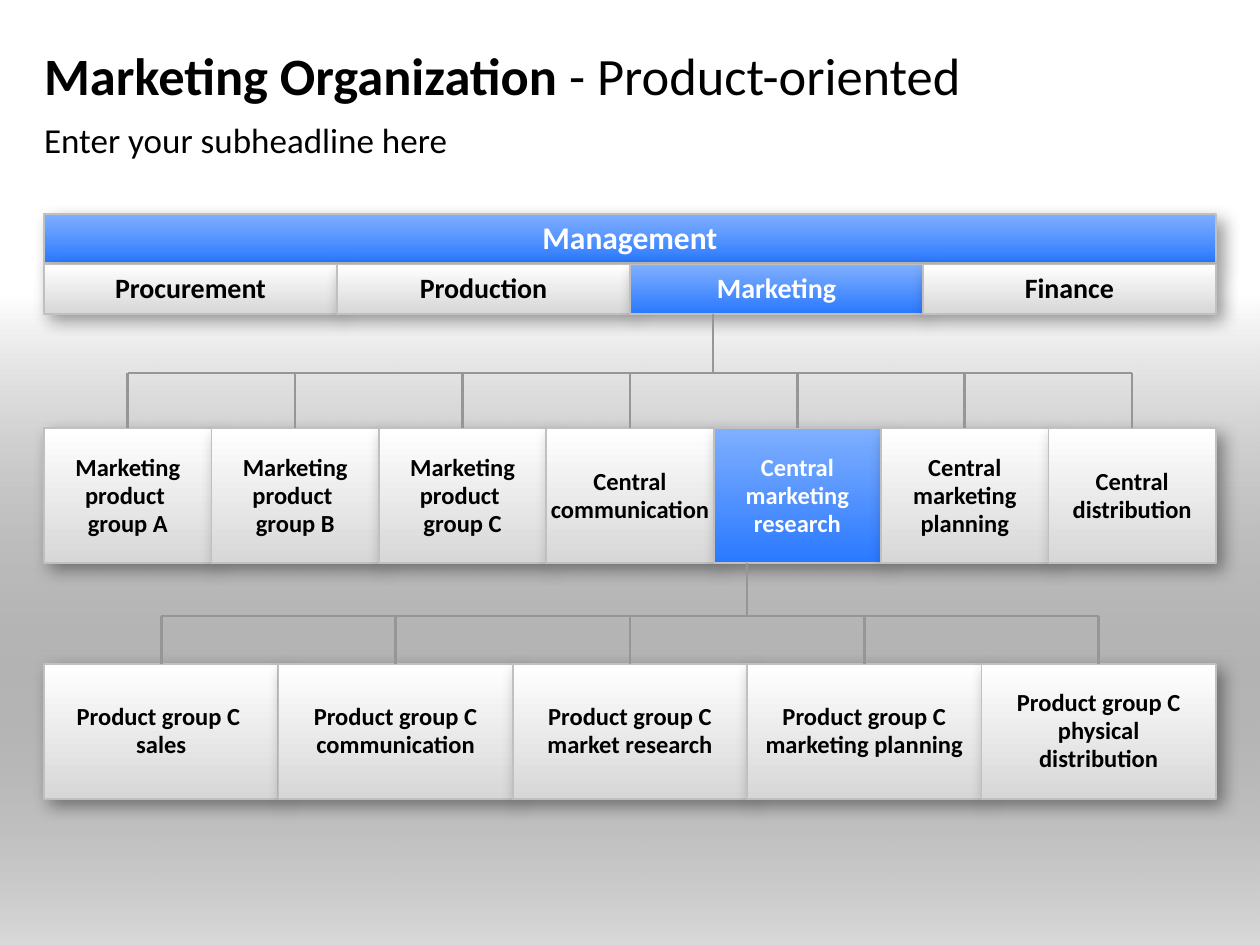
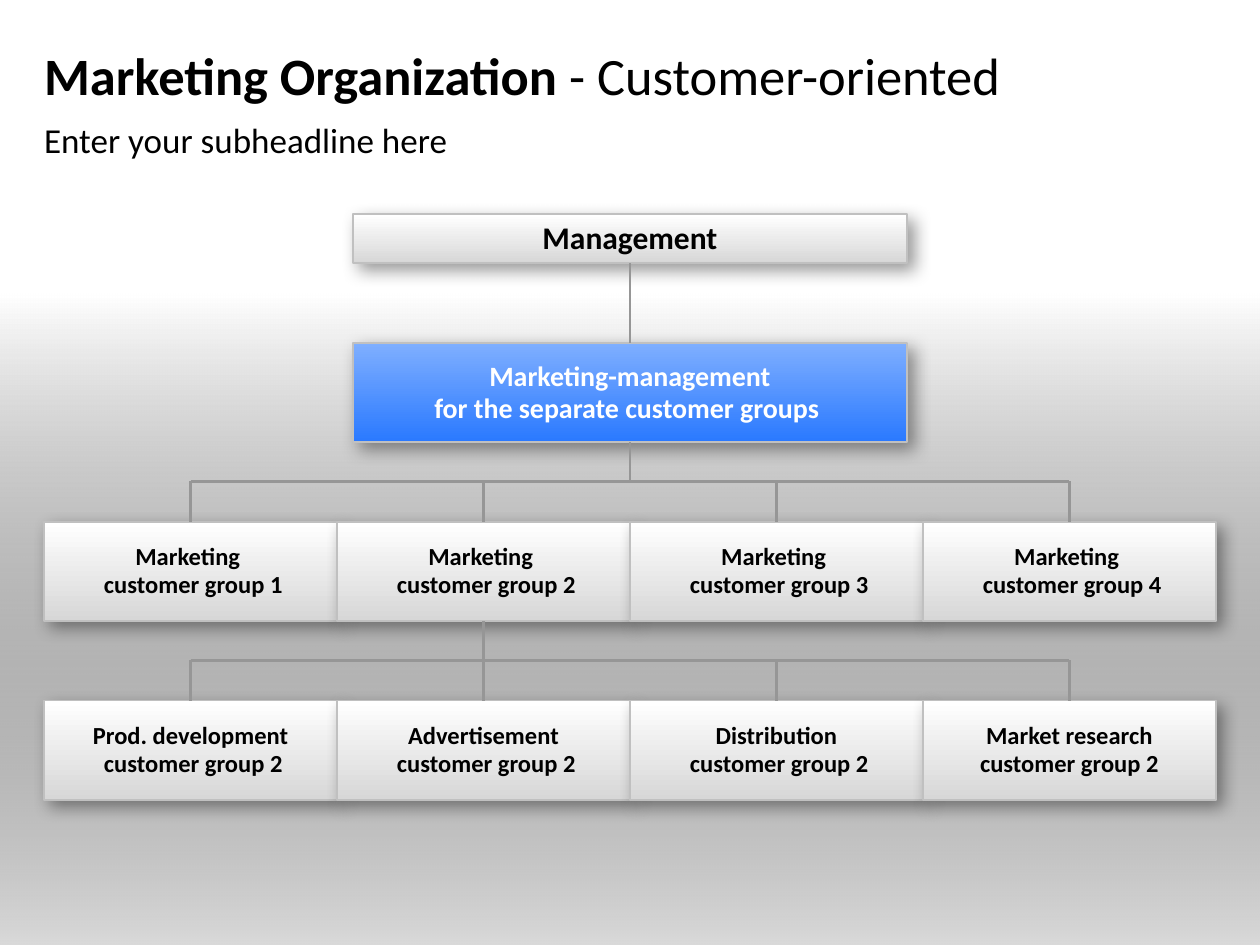
from lxml import etree
from pptx import Presentation
from pptx.dml.color import RGBColor
from pptx.enum.shapes import MSO_CONNECTOR, MSO_SHAPE
from pptx.enum.text import MSO_ANCHOR, MSO_AUTO_SIZE, PP_ALIGN
from pptx.oxml.ns import qn
from pptx.util import Inches, Pt

RECT = MSO_SHAPE.RECTANGLE
STRAIGHT = MSO_CONNECTOR.STRAIGHT
MIDDLE, TOP = MSO_ANCHOR.MIDDLE, MSO_ANCHOR.TOP
CENTER, LEFT = PP_ALIGN.CENTER, PP_ALIGN.LEFT
NO_FIT = MSO_AUTO_SIZE.NONE
TITLE_ONLY = 5
BOX_TOP, BOX_BOTTOM = 0, 2

BLACK = RGBColor(0x00, 0x00, 0x00)
WHITE = RGBColor(0xFF, 0xFF, 0xFF)
SILVER = RGBColor(0xD7, 0xD7, 0xD7)
BORDER = RGBColor(0xC0, 0xC0, 0xC0)
LINE_GRAY = RGBColor(0x96, 0x96, 0x96)
LIGHT_BLUE = RGBColor(0x7F, 0xAF, 0xFF)
BLUE = RGBColor(0x2A, 0x79, 0xFF)

FONT = "Calibri"
MARGIN, CONTENT_W = 0.35, 9.3


def fill_gradient(shape, top_color, bottom_color):
    fill = shape.fill
    fill.gradient()
    fill.gradient_angle = 270
    for stop, color, position in zip(fill.gradient_stops, (top_color, bottom_color), (0, 1)):
        stop.color.rgb = color
        stop.position = position


def add_alpha(color_el, percent):
    etree.SubElement(color_el, qn("a:alpha"), val=str(percent * 1000))


def add_shadow(shape):
    shape.shadow.inherit = False
    effects = shape._element.spPr.find(qn("a:effectLst"))
    shadow = etree.SubElement(effects, qn("a:outerShdw"), blurRad=str(Pt(10)),
                              dist=str(Pt(5)), dir=str(45 * 60000), algn="tl",
                              rotWithShape="0")
    add_alpha(etree.SubElement(shadow, qn("a:srgbClr"), val=str(BLACK)), 40)


def set_frame(tf, anchor, side=0):
    tf.word_wrap = True
    tf.auto_size = NO_FIT
    tf.vertical_anchor = anchor
    tf.margin_left = tf.margin_right = Inches(side)
    tf.margin_top = tf.margin_bottom = 0


def set_font(p, size, color=BLACK):
    p.font.name = FONT
    p.font.size = Pt(size)
    p.font.color.rgb = color


def add_backdrop(s):
    sp = s.shapes.add_shape(RECT, 0, Inches(2.33), Inches(10), Inches(5.17))
    sp.shadow.inherit = False
    sp.line.fill.background()
    fill_gradient(sp, WHITE, BLACK)
    stops = list(sp._element.spPr.iter(qn("a:srgbClr")))
    add_alpha(stops[-1], 15)


def add_heading(s, topic):
    title = s.shapes.title
    title.left, title.top = Inches(MARGIN), Inches(0.26)
    title.width, title.height = Inches(CONTENT_W), Inches(0.67)
    set_frame(title.text_frame, MIDDLE)
    p = title.text_frame.paragraphs[0]
    p.alignment = LEFT
    set_font(p, 30)
    for text, bold in (("Marketing Organization ", True), (f"- {topic}", False)):
        r = p.add_run()
        r.text = text
        r.font.bold = bold

    sub = s.shapes.add_textbox(Inches(MARGIN), Inches(0.94), Inches(CONTENT_W), Inches(0.37))
    set_frame(sub.text_frame, TOP)
    p = sub.text_frame.paragraphs[0]
    p.text = "Enter your subheadline here"
    p.space_before = Pt(4)
    set_font(p, 20)


def add_box(s, left, top, width, height, text, size, active=False):
    sp = s.shapes.add_shape(RECT, Inches(left), Inches(top), Inches(width), Inches(height))
    fill_gradient(sp, *((LIGHT_BLUE, BLUE) if active else (WHITE, SILVER)))
    sp.line.color.rgb = BORDER
    sp.line.width = Pt(1)
    add_shadow(sp)
    set_frame(sp.text_frame, MIDDLE, 0.08 if active else 0)
    p = sp.text_frame.paragraphs[0]
    p.text = text
    p.alignment = CENTER
    p.line_spacing = 0.95
    p.space_after = Pt(8)
    p.font.bold = True
    set_font(p, size, WHITE if active else BLACK)
    return sp


def add_row(s, top, height, labels, size, active=None):
    width = CONTENT_W / len(labels)
    return [add_box(s, MARGIN + i * width, top, width, height, label, size, i == active)
            for i, label in enumerate(labels)]


def add_line(s, x1, y1, x2, y2):
    line = s.shapes.add_connector(STRAIGHT, x1, y1, x2, y2)
    line.line.color.rgb = LINE_GRAY
    line.line.width = Pt(1.5)
    etree.SubElement(line._element.spPr, qn("a:effectLst"))
    return line


def center_x(box):
    return box.left + box.width // 2


def add_branches(s, parent, children, bus_y, stem_x=None):
    bus = Inches(bus_y)
    x = center_x(parent) if stem_x is None else Inches(stem_x)
    stem = add_line(s, x, parent.top + parent.height, x, bus)
    if stem_x is None:
        stem.begin_connect(parent, BOX_BOTTOM)
    add_line(s, center_x(children[0]), bus, center_x(children[-1]), bus)
    for child in children:
        drop = add_line(s, center_x(child), bus, center_x(child), child.top)
        drop.end_connect(child, BOX_TOP)


def start_slide(prs, topic):
    s = prs.slides.add_slide(prs.slide_layouts[TITLE_ONLY])
    add_backdrop(s)
    add_heading(s, topic)
    return s


def product_slide(prs):
    s = start_slide(prs, "Product-oriented")
    add_box(s, MARGIN, 1.7, CONTENT_W, 0.39, "Management", 18, True)
    departments = add_row(s, 2.1, 0.39,
                          ["Procurement", "Production", "Marketing", "Finance"], 16, 2)
    product_groups = add_row(s, 5.27, 1.07, [
        "Product group C \nsales",
        "Product group C communication",
        "Product group C market research",
        "Product group C marketing planning",
        "Product group C physical\ndistribution",
    ], 14)
    units = add_row(s, 3.4, 1.07, [
        *(f"Marketing product \ngroup {letter}" for letter in "ABC"),
        "Central communication",
        "Central marketing\nresearch",
        "Central marketing planning",
        "Central\ndistribution",
    ], 14, 4)
    add_branches(s, departments[2], units, 2.96, 5.66)
    add_branches(s, units[4], product_groups, 4.89, 5.93)


def customer_slide(prs):
    s = start_slide(prs, "Customer-oriented")
    management = add_box(s, 2.8, 1.7, 4.4, 0.39, "Management", 18)
    marketing = add_box(s, 2.8, 2.72, 4.4, 0.79,
                        "Marketing-management\nfor the separate customer groups ", 16, True)
    groups = add_row(s, 4.14, 0.79,
                     [f"Marketing \n customer group {n}" for n in range(1, 5)], 14)
    functions = add_row(s, 5.56, 0.79, [
        "Prod. development\n customer group 2",
        "Advertisement\n customer group 2",
        "Distribution\n customer group 2",
        "Market research\ncustomer group 2",
    ], 14)
    x = center_x(management)
    link = add_line(s, x, management.top + management.height, x, marketing.top)
    link.begin_connect(management, BOX_BOTTOM)
    link.end_connect(marketing, BOX_TOP)
    add_branches(s, marketing, groups, 3.82)
    add_branches(s, groups[1], functions, 5.24)


def main():
    prs = Presentation()
    prs.slide_width, prs.slide_height = Inches(10), Inches(7.5)
    product_slide(prs)
    customer_slide(prs)
    prs.save("out.pptx")


if __name__ == "__main__":
    main()
